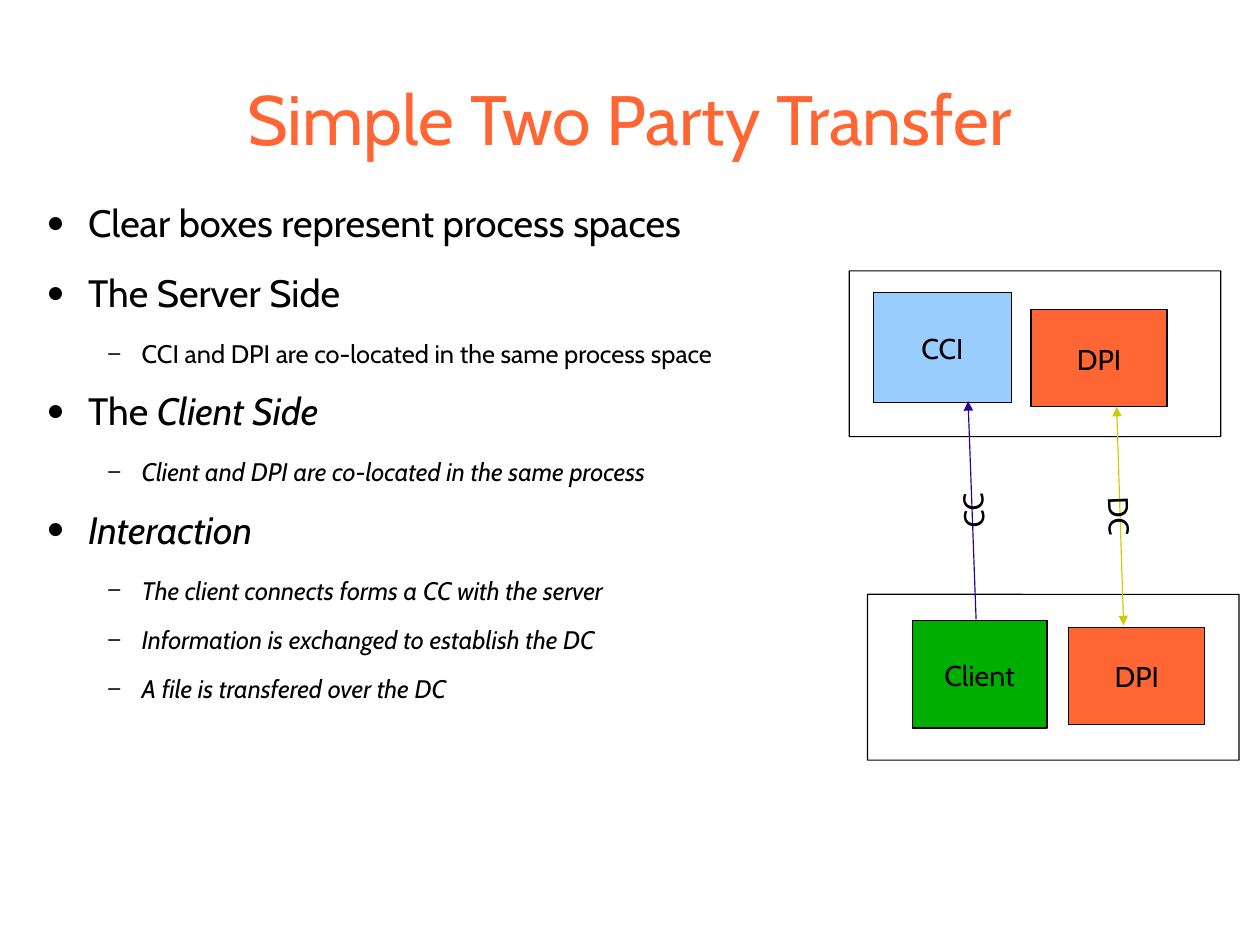
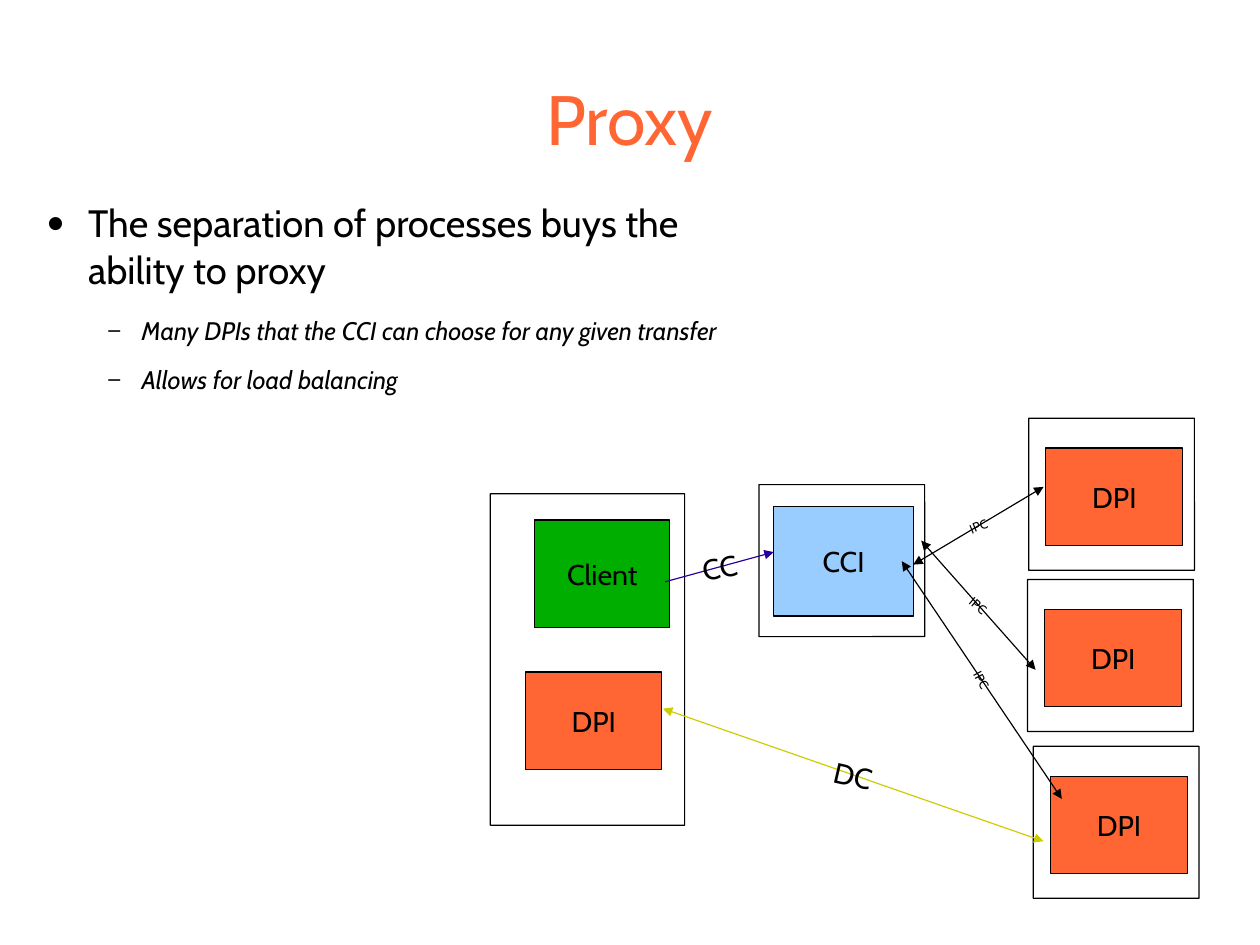
import math
import pptx
import pptx.dml.color
import pptx.enum.shapes
import pptx.enum.text
import pptx.oxml.ns
import pptx.util
from lxml import etree

Inches = pptx.util.Inches
Pt = pptx.util.Pt
qn = pptx.oxml.ns.qn
hue = pptx.dml.color.RGBColor.from_string
kinds = pptx.enum.shapes.MSO_SHAPE
middle = pptx.enum.text.MSO_ANCHOR.MIDDLE
center = pptx.enum.text.PP_ALIGN.CENTER

FONT = "Cabin"
ORANGE, BLUE, GREEN = "FF6633", "99CCFF", "00AE00"
BLACK, NAVY, GOLD = "000000", "280099", "CCCC00"
FILLS = {"DPI": ORANGE, "CCI": BLUE, "Client": GREEN}

# Bullet levels: size, left margin, indent, space after, sign, sign percent
LEVELS = [(24, 0.47, -0.35, 14.3, "●", 45),
          (16, 0.94, -0.31, 11.4, "−", 75)]

# Bullets: level, then (text, italic) runs
# Boxes: name, left, top, width, height; frames: left, top, width, height
# Links: label, start, end, label turn, label size, colour, arrow at start
SLIDES = [
    dict(
        title="Simple Two Party Transfer",
        body=(6.55, 5.36),
        bullets=[
            (0, [("Clear boxes represent process spaces", False)]),
            (0, [("The Server Side", False)]),
            (1, [("CCI and DPI are co-located in the same process space", False)]),
            (0, [("The ", False), ("Client Side", True)]),
            (1, [("Client and DPI are co-located in the same process", True)]),
            (0, [("Interaction", True)]),
            (1, [("The client connects forms a CC with the server", True)]),
            (1, [("Information is exchanged to establish the DC", True)]),
            (1, [("A file is transfered over the DC", True)]),
        ],
        boxes=[("CCI", 7.64, 2.56, 1.21, 0.96), ("DPI", 9.02, 2.71, 1.19, 0.85),
               ("Client", 7.98, 5.43, 1.18, 0.94), ("DPI", 9.35, 5.49, 1.19, 0.85)],
        frames=[(7.43, 2.37, 3.25, 1.45), (7.59, 5.2, 3.25, 1.45)],
        links=[("CC", (8.54, 5.42), (8.47, 3.51), 268, 18, NAVY, False),
               ("DC", (9.77, 3.56), (9.83, 5.47), 88, 18, GOLD, True)],
    ),
    dict(
        title="Proxy",
        body=(6.15, 1.99),
        bullets=[
            (0, [("The separation of processes buys the ability to proxy", False)]),
            (1, [("Many DPIs that the CCI can choose for any given transfer", True)]),
            (1, [("Allows for load balancing", True)]),
        ],
        boxes=[("Client", 4.68, 4.55, 1.18, 0.94), ("DPI", 4.6, 5.88, 1.19, 0.85),
               ("CCI", 6.77, 4.43, 1.22, 0.96), ("DPI", 9.15, 3.92, 1.2, 0.85),
               ("DPI", 9.14, 5.33, 1.2, 0.85), ("DPI", 9.19, 6.79, 1.2, 0.85)],
        frames=[(4.29, 4.32, 1.7, 2.9), (6.64, 4.24, 1.45, 1.33),
                (9, 3.66, 1.45, 1.33), (8.99, 5.07, 1.45, 1.33),
                (9.04, 6.53, 1.45, 1.33)],
        links=[("CC", (5.82, 5.09), (6.77, 4.83), 349, 18, NAVY, False),
               ("DC", (5.8, 6.2), (9.13, 7.36), 13, 18, GOLD, True),
               ("IPC", (7.99, 4.94), (9.13, 4.26), 338, 8, BLACK, True),
               ("IPC", (8.06, 4.73), (9.06, 5.86), 40, 8, BLACK, True),
               ("IPC", (7.89, 4.91), (9.29, 6.99), 62, 8, BLACK, True)],
    ),
]


def write(para, text, size=18, color=BLACK, italic=False, align=center):
    """Add one formatted run to a paragraph."""
    para.alignment = align
    para.line_spacing = 1.02
    run = para.add_run()
    run.text = text
    run.font.name = FONT
    run.font.size = Pt(size)
    run.font.italic = italic
    run.font.color.rgb = hue(color)


def block(shapes, kind, spot, fill=None):
    """Add a thin-lined shape, clear unless it is given a fill."""
    shape = shapes.add_shape(kind, *map(Inches, spot))
    shape.shadow.inherit = False
    shape.line.color.rgb = hue(BLACK)
    shape.line.width = Pt(0.75)
    if fill:
        shape.fill.solid()
        shape.fill.fore_color.rgb = hue(fill)
    else:
        shape.fill.background()
    return shape


deck = pptx.Presentation()
# The page is 28 by 21 cm, which is 11.02 by 8.27 inches
deck.slide_width = pptx.util.Cm(28)
deck.slide_height = pptx.util.Cm(21)

for data in SLIDES:
    slide = deck.slides.add_slide(deck.slide_layouts[5])
    shapes = slide.shapes

    title = shapes.title
    title.left, title.top = Inches(0.55), Inches(0.33)
    title.width, title.height = Inches(9.92), Inches(1.38)
    body = shapes.add_textbox(Inches(0.3), Inches(1.74), *map(Inches, data["body"]))
    for frame in (title.text_frame, body.text_frame):
        frame.margin_left = frame.margin_right = 0
        frame.margin_top = frame.margin_bottom = 0
        frame.word_wrap = True
        frame.auto_size = pptx.enum.text.MSO_AUTO_SIZE.NONE
    title.text_frame.vertical_anchor = middle
    write(title.text_frame.paragraphs[0], data["title"], size=44, color=ORANGE)

    for row, (level, runs) in enumerate(data["bullets"]):
        size, left, indent, after, sign, scale = LEVELS[level]
        frame = body.text_frame
        para = frame.add_paragraph() if row else frame.paragraphs[0]
        para.level = level
        para.space_after = Pt(after)
        for text, italic in runs:
            write(para, text, size=size, italic=italic,
                  align=pptx.enum.text.PP_ALIGN.LEFT)
        props = para._p.get_or_add_pPr()
        props.set("marL", str(Inches(left)))
        props.set("indent", str(Inches(indent)))
        tint = etree.SubElement(props, qn("a:buClr"))
        etree.SubElement(tint, qn("a:srgbClr"), val=BLACK)
        etree.SubElement(props, qn("a:buSzPct"), val=str(scale * 1000))
        etree.SubElement(props, qn("a:buFont"), typeface=FONT)
        etree.SubElement(props, qn("a:buChar"), char=sign)

    for name, *spot in data["boxes"]:
        box = block(shapes, kinds.RECTANGLE, spot, FILLS[name])
        box.text_frame.word_wrap = False
        box.text_frame.vertical_anchor = middle
        write(box.text_frame.paragraphs[0], name)

    for spot in data["frames"]:
        block(shapes, kinds.ROUNDED_RECTANGLE, spot).adjustments[0] = 0.001

    for name, start, end, turn, size, color, both in data["links"]:
        link = shapes.add_connector(pptx.enum.shapes.MSO_CONNECTOR.STRAIGHT,
                                    *map(Inches, start + end))
        link.line.color.rgb = hue(color)
        link.line.width = Pt(0.75)
        props = link._element.spPr
        line = props.find(qn("a:ln"))
        if both:
            etree.SubElement(line, qn("a:headEnd"), type="triangle")
        etree.SubElement(line, qn("a:tailEnd"), type="triangle")
        etree.SubElement(props, qn("a:effectLst"))

        wide, high = math.dist(start, end), size / 45
        mid_x, mid_y = (start[0] + end[0]) / 2, (start[1] + end[1]) / 2
        label = shapes.add_textbox(Inches(mid_x - wide / 2), Inches(mid_y - high / 2),
                                   Inches(wide), Inches(high))
        label.rotation = turn
        label.text_frame.word_wrap = True
        label.text_frame.vertical_anchor = middle
        write(label.text_frame.paragraphs[0], name, size=size)

deck.save("out.pptx")
